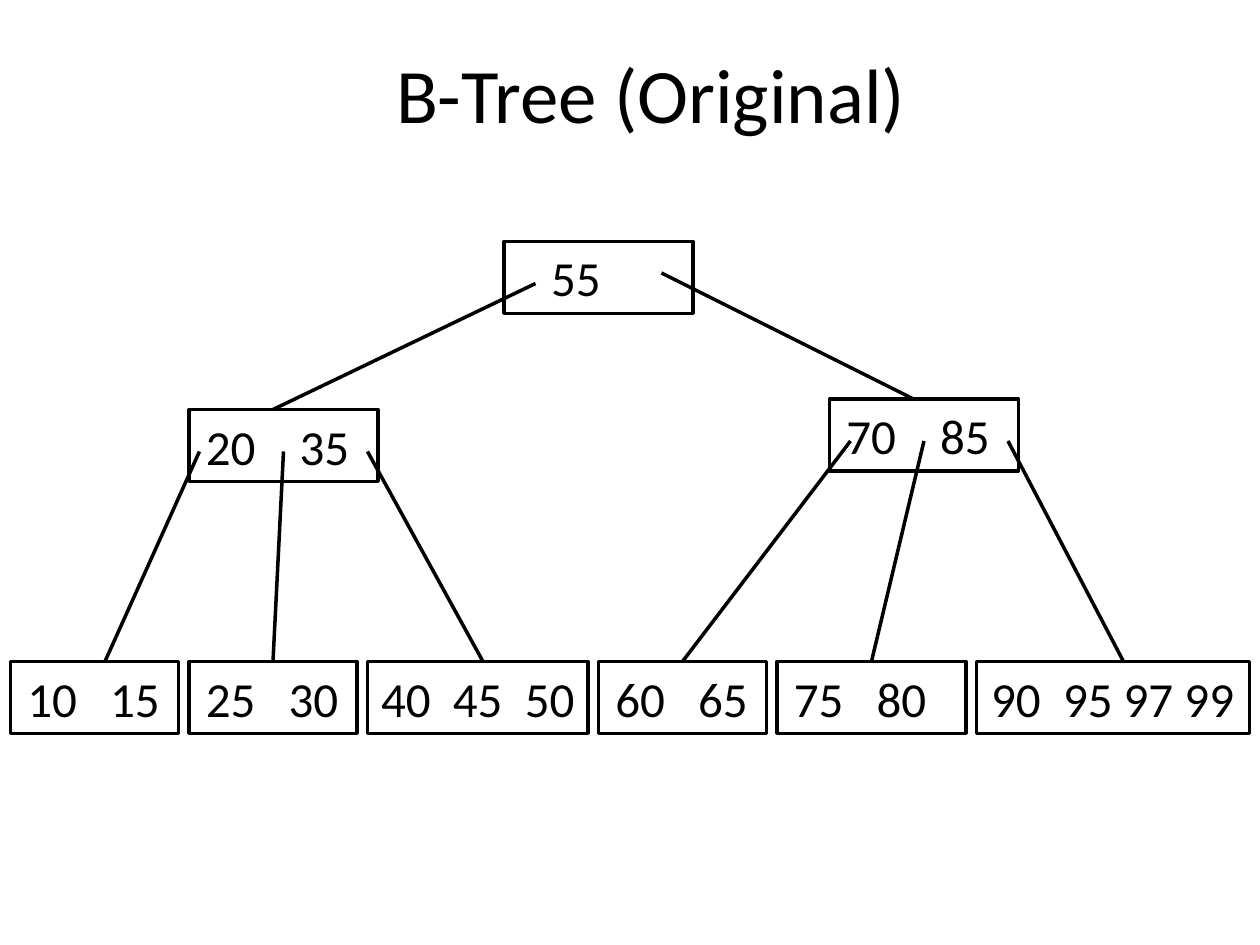
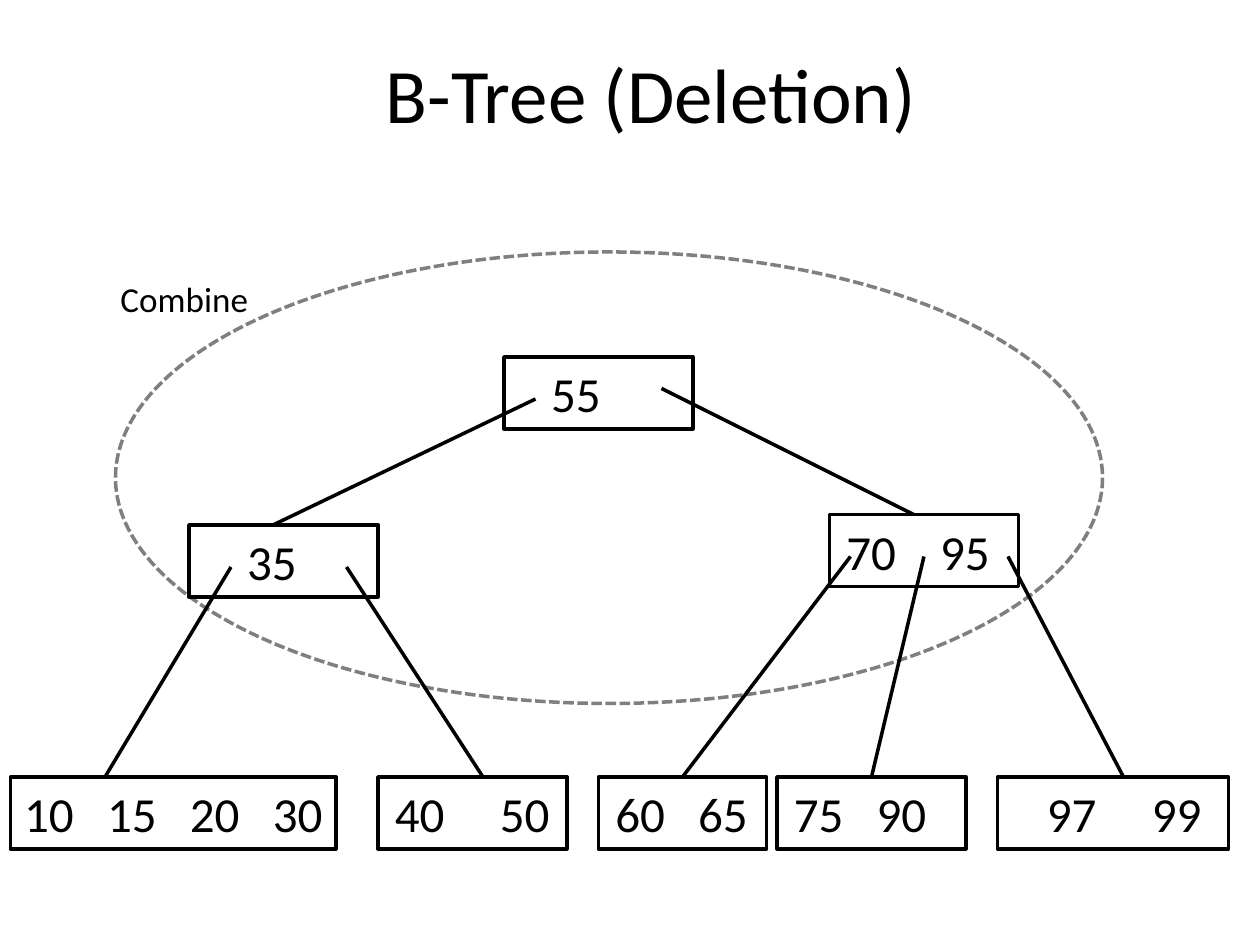
from dataclasses import dataclass
from itertools import accumulate

from pptx import Presentation
from pptx.dml.color import RGBColor
from pptx.enum.dml import MSO_LINE
from pptx.enum.shapes import MSO_CONNECTOR, MSO_SHAPE
from pptx.enum.text import MSO_ANCHOR, PP_ALIGN
from pptx.oxml.ns import qn
from pptx.util import Inches, Pt
from lxml.etree import SubElement

COLORS = {"ink": "000000"}
FONT = "Calibri"
COLUMNS, ROWS = 120, 90
CELL = Inches(10) / COLUMNS
NODE_ROWS = 6.85
KEY_WIDTH, SPACE_WIDTH = 4.73, 1.055
ROOT_ROW, LEFT_ROW, RIGHT_ROW, LEAF_ROW = 23, 39, 38, 63


@dataclass
class Node:
    """A box of keys, with the pointer (start column, start row, end column) that leads to it."""
    keys: str
    left: float
    row: float
    width: float
    pointer: tuple = ()
    spaces: tuple = (3,)
    indent: float = 1.6


def cells(*lengths):
    """Turn grid cells into EMU."""
    return [round(length * CELL) for length in lengths]


def ink(color_format):
    """Give a colour format the ink colour."""
    color_format.rgb = RGBColor.from_string(COLORS["ink"])


def write(paragraph, text, size):
    """Add one run in the shared font."""
    run = paragraph.add_run()
    run.text = text
    run.font.name, run.font.size = FONT, Pt(size)
    ink(run.font.color)


def stroke(line):
    """Draw a line two points wide in ink."""
    line.width = Pt(2)
    ink(line.color)


def add_outline(slide, preset, *box):
    """Add an unfilled preset shape on the grid."""
    outline = slide.shapes.add_shape(preset, *cells(*box))
    outline.shadow.inherit = False
    outline.fill.background()
    stroke(outline.line)
    return outline


def add_node(slide, node, drop):
    """Draw a node, its keys set on tab stops, and the pointer to it."""
    top = node.row + drop
    box = add_outline(slide, MSO_SHAPE.RECTANGLE, node.left, top, node.width, NODE_ROWS)
    frame = box.text_frame
    frame.word_wrap = True
    frame.vertical_anchor = MSO_ANCHOR.MIDDLE
    frame.margin_left, frame.margin_right = cells(node.indent, 0)
    keys = frame.paragraphs[0]
    keys.alignment = PP_ALIGN.LEFT
    write(keys, "\t".join(node.keys.split()), 28)
    stops = SubElement(keys._p.get_or_add_pPr(), qn("a:tabLst"))
    for stop in accumulate(KEY_WIDTH + SPACE_WIDTH * count for count in node.spaces):
        SubElement(stops, qn("a:tab"), pos=str(cells(stop)[0]), algn="l")
    if node.pointer:
        add_pointer(slide, node, box, drop)


def add_pointer(slide, node, box, drop):
    """Draw a pointer, joined to the node when it ends at its top middle."""
    start, start_row, end = node.pointer
    pointer = slide.shapes.add_connector(
        MSO_CONNECTOR.STRAIGHT, *cells(start, start_row + drop, end, node.row + drop))
    stroke(pointer.line)
    SubElement(pointer._element.spPr, qn("a:effectLst"))
    if end == node.left + node.width / 2:
        pointer.end_connect(box, 0)


def add_title(slide, text):
    """Place and fill the title placeholder."""
    title = slide.shapes.title
    title.left, title.top, title.width, title.height = cells(13, 3.7, 98, 10.3)
    title.text_frame.vertical_anchor = MSO_ANCHOR.MIDDLE
    heading = title.text_frame.paragraphs[0]
    heading.alignment = PP_ALIGN.CENTER
    write(heading, text, 44)


def add_combine_mark(slide):
    """Ring the nodes to combine with a dashed ellipse and label it."""
    label = slide.shapes.add_textbox(*cells(10.3, 25.8, 14.6, 5.3))
    label.text_frame.word_wrap = False
    write(label.text_frame.paragraphs[0], "Combine", 20)
    ring = add_outline(slide, MSO_SHAPE.OVAL, 11, 24, 94, 43)
    ring.line.dash_style = MSO_LINE.SQUARE_DOT
    shade = ring.line._ln.find(qn("a:solidFill"))[0]
    SubElement(shade, qn("a:alpha"), val="49000")


def leaf(keys, left, width, start, parent_row, end, **spacing):
    """Make a bottom-row node whose pointer starts inside its parent."""
    return Node(keys, left, LEAF_ROW, width, (start, parent_row + 4, end), **spacing)


def shared_nodes(right_keys, middle_keys):
    """List the root and the right branch, which stay in place."""
    return [
        Node("55", 48, ROOT_ROW, 18, indent=4.5),
        Node(right_keys, 79, RIGHT_ROW, 18, (63, ROOT_ROW + 3, 87), (4,)),
        leaf("60 65", 57, 16, 81, RIGHT_ROW, 65),
        leaf(middle_keys, 74, 18, 88, RIGHT_ROW, 83),
    ]


def left_parent(keys, **spacing):
    """Make the root's left child."""
    return Node(keys, 18, LEFT_ROW, 18, (51, ROOT_ROW + 4, 26), **spacing)


def add_tree_slide(deck, title, nodes, drop=0):
    """Add a titled slide with a tree lowered by some rows."""
    slide = deck.slides.add_slide(deck.slide_layouts[5])
    add_title(slide, title)
    for node in nodes:
        add_node(slide, node, drop)
    return slide


def main():
    """Build both tree slides."""
    deck = Presentation()
    deck.slide_width, deck.slide_height = cells(COLUMNS, ROWS)
    add_tree_slide(deck, "B-Tree (Original)", shared_nodes("70 85", "75 80") + [
        left_parent("20 35", spaces=(4,)),
        leaf("10 15", 1, 16, 19, LEFT_ROW, 10),
        leaf("25 30", 18, 16, 27, LEFT_ROW, 26),
        leaf("40 45 50", 35, 21, 35, LEFT_ROW, 46, spaces=(2, 2), indent=1.3),
        leaf("90 95 97 99", 93, 26, 96, RIGHT_ROW, 107, spaces=(2, 1, 1), indent=1.4),
    ])
    deletion = add_tree_slide(deck, "B-Tree (Deletion)", shared_nodes("70 95", "75 90") + [
        left_parent("35", indent=5.55),
        leaf("10 15 20 30", 1, 31, 22, LEFT_ROW, 10, spaces=(3, 3, 3), indent=1.3),
        leaf("40 50", 36, 18, 33, LEFT_ROW, 46, spaces=(5,)),
        leaf("97 99", 95, 22, 96, RIGHT_ROW, 107, spaces=(5,), indent=4.7),
    ], drop=11)
    add_combine_mark(deletion)
    deck.save("out.pptx")


if __name__ == "__main__":
    main()
